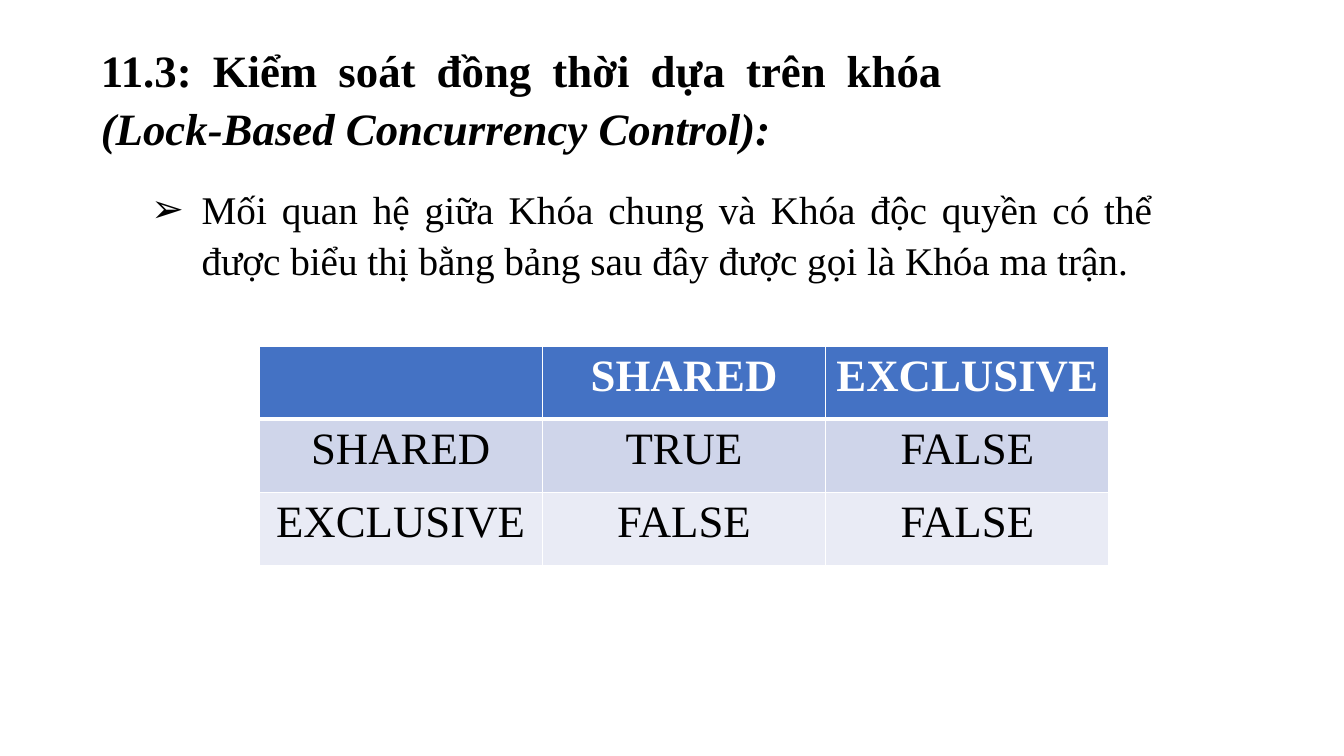
"""Build the lock-based concurrency control slide."""
from lxml import etree
from pptx import Presentation
from pptx import util as u
from pptx.dml.color import RGBColor
from pptx.enum import text
from pptx.oxml import ns

HEADING = [("11.3: Kiểm soát đồng thời dựa trên khóa ", False),
           ("(Lock-Based Concurrency Control):", True)]
RELATION = ("Mối quan hệ giữa Khóa chung và Khóa độc quyền có thể được biểu thị "
            "bằng bảng sau đây được gọi là Khóa ma trận.")
LOCK_MATRIX = [["", "SHARED", "EXCLUSIVE"],
               ["SHARED", "TRUE", "FALSE"],
               ["EXCLUSIVE", "FALSE", "FALSE"]]
COLORS = {"black": "000000", "white": "FFFFFF", "header": "4472C4",
          "band_dark": "CFD5EA", "band_light": "E9EBF5"}
ROW_FILLS = ["header", "band_dark", "band_light"]
ROW_HEIGHTS = [72, 73, 72]
COLUMN_WIDTH = 281
HEADING_BOX = (90, 34, 855, 123)
RELATION_BOX = (90, 176, 1063, 108)
MATRIX_BOX = (257, 344, 3 * COLUMN_WIDTH, sum(ROW_HEIGHTS))
BULLET = {"char": "➢", "left": 100, "hanging": -50}
FRAME_FORMAT = {"word_wrap": True, "auto_size": text.MSO_AUTO_SIZE.NONE,
                "vertical_anchor": text.MSO_ANCHOR.TOP}
PARAGRAPH_FORMAT = {"alignment": text.PP_ALIGN.JUSTIFY, "line_spacing": 1.07,
                    "space_before": u.Pt(0)}


def px(length):
    return u.Emu(length * 9144)


def apply(target, values):
    for name, value in values.items():
        setattr(target, name, value)


def write(paragraph, words, color, **font):
    run = paragraph.add_run()
    run.text = words
    apply(run.font, {"name": "Times New Roman", **font})
    run.font.color.rgb = RGBColor.from_string(COLORS[color])


def place(placeholder, box):
    apply(placeholder, dict(zip(("left", "top", "width", "height"), map(px, box))))
    apply(placeholder.text_frame, FRAME_FORMAT)
    paragraph = placeholder.text_frame.paragraphs[0]
    apply(paragraph, PARAGRAPH_FORMAT)
    return paragraph


def add_bullet(paragraph):
    props = paragraph._p.get_or_add_pPr()
    props.set("marL", str(px(BULLET["left"])))
    props.set("indent", str(px(BULLET["hanging"])))
    etree.SubElement(props, ns.qn("a:buChar"), char=BULLET["char"])


def add_borders(cell, bottom):
    props = cell._tc.get_or_add_tcPr()
    widths = {"a:lnL": 1, "a:lnR": 1, "a:lnT": 1, "a:lnB": bottom}
    for index, (side, width) in enumerate(widths.items()):
        line = etree.Element(ns.qn(side), w=str(u.Pt(width)))
        fill = etree.SubElement(line, ns.qn("a:solidFill"))
        etree.SubElement(fill, ns.qn("a:srgbClr"), val=COLORS["white"])
        props.insert(index, line)


def add_matrix(slide):
    matrix = slide.shapes.add_table(3, 3, *map(px, MATRIX_BOX)).table
    for column in matrix.columns:
        column.width = px(COLUMN_WIDTH)
    for r, labels in enumerate(LOCK_MATRIX):
        matrix.rows[r].height = px(ROW_HEIGHTS[r])
        is_header = r == 0
        for c, label in enumerate(labels):
            cell = matrix.cell(r, c)
            cell.fill.solid()
            cell.fill.fore_color.rgb = RGBColor.from_string(COLORS[ROW_FILLS[r]])
            add_borders(cell, 3 if is_header else 1)
            if label:
                paragraph = cell.text_frame.paragraphs[0]
                paragraph.alignment = text.PP_ALIGN.CENTER
                write(paragraph, label, "white" if is_header else "black",
                      size=u.Pt(32), bold=is_header)


def main():
    deck = Presentation()
    apply(deck, {"slide_width": px(1333), "slide_height": px(750)})
    slide = deck.slides.add_slide(deck.slide_layouts[1])

    heading = place(slide.shapes.title, HEADING_BOX)
    heading.space_after = u.Pt(8)
    for words, italic in HEADING:
        write(heading, words, "black", size=u.Pt(32), bold=True, italic=italic)

    relation = place(slide.placeholders[1], RELATION_BOX)
    add_bullet(relation)
    write(relation, RELATION, "black", size=u.Pt(28))

    add_matrix(slide)
    deck.save("out.pptx")


if __name__ == "__main__":
    main()
